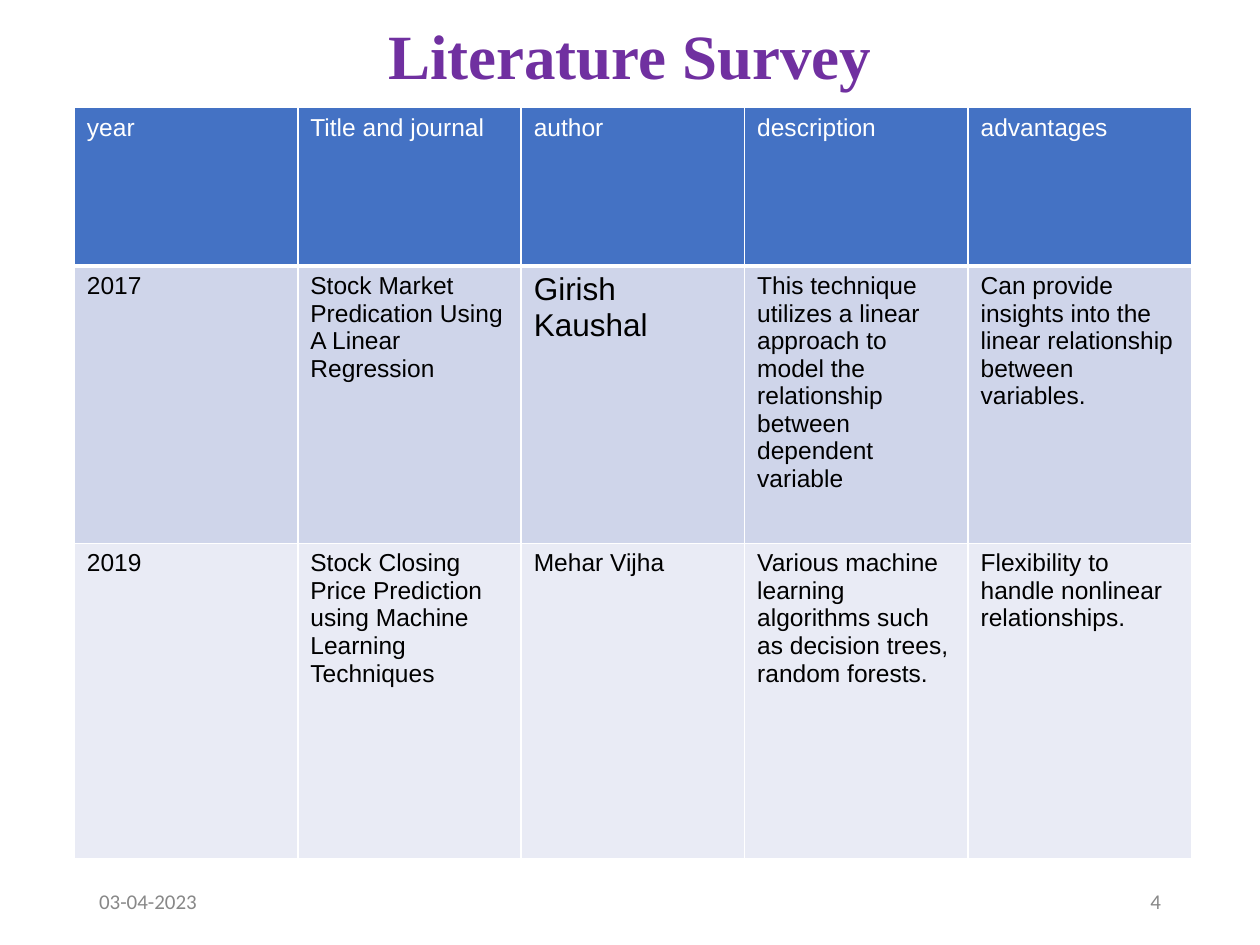
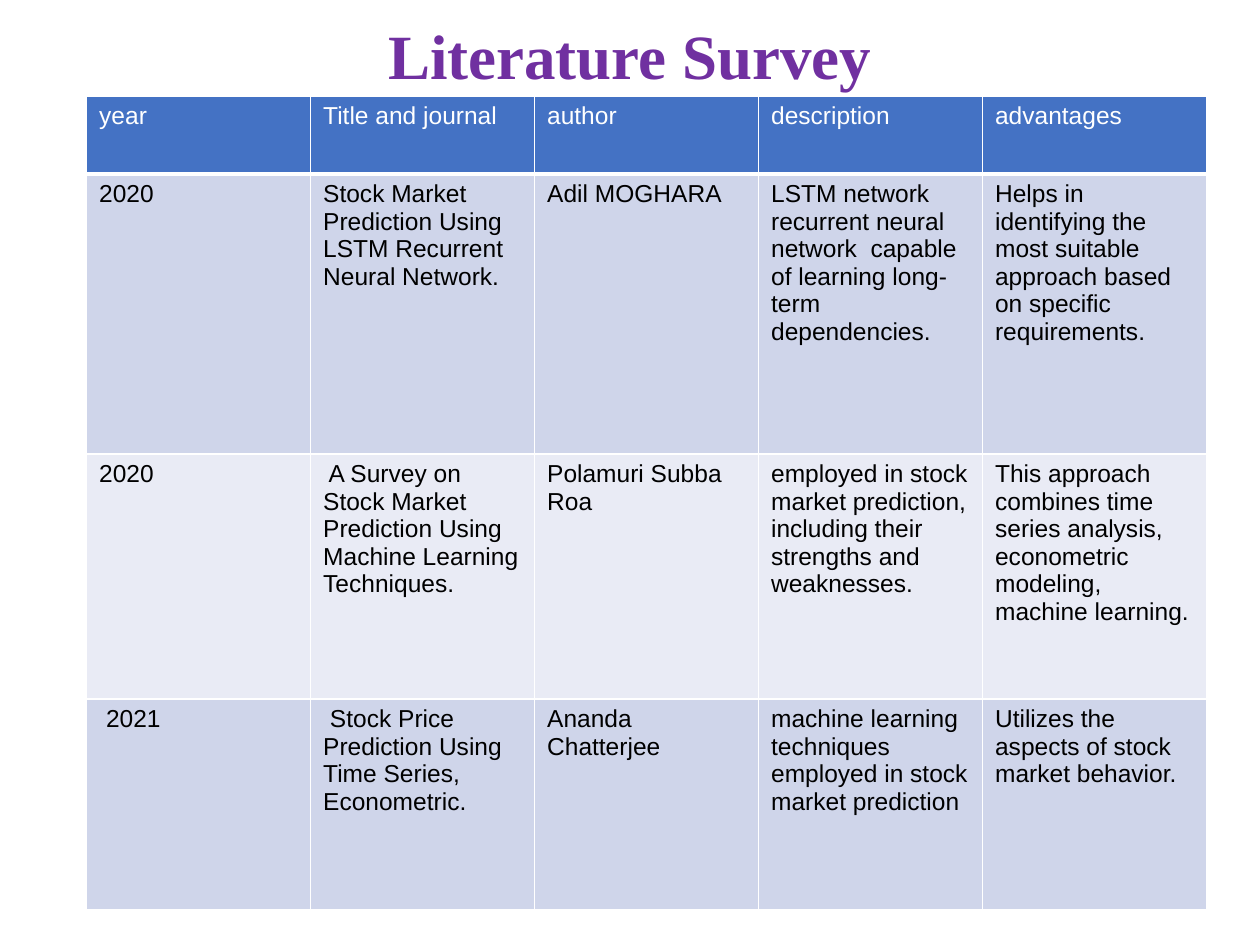
from lxml.etree import SubElement
from pptx import Presentation
from pptx.dml.color import RGBColor as Rgb
from pptx.enum.text import MSO_ANCHOR as Anchor, MSO_AUTO_SIZE as AutoSize, PP_ALIGN as Align
from pptx.oxml.ns import qn
from pptx.util import Pt

COLORS = {
    "title": "7030A0",
    "footer": "888888",
    "header": "4472C4",
    "band": "CFD5EA",
    "pale": "E9EBF5",
    "white": "FFFFFF",
    "black": "000000",
}
FORMATS = {
    "title": {"name": "Times New Roman", "size": Pt(36), "bold": True},
    "footer": {"name": "Calibri", "size": Pt(12), "bold": False},
    "cell": {"name": "Arial", "size": Pt(14), "bold": False},
    "large": {"name": "Arial", "size": Pt(18), "bold": False},
}
MARGIN = 49.5
CONTENT_WIDTH = 621
FOOTER_WIDTH = 162
HEADINGS = ["year", "Title and journal", "author", "description", "advantages"]

EARLY_STUDIES = [
    ["2017", "Stock Market Predication Using A Linear Regression", "Girish Kaushal",
     "This technique utilizes a linear approach to model the relationship between dependent variable",
     "Can provide insights into the linear relationship between variables."],
    ["2019", "Stock Closing Price Prediction using Machine Learning Techniques", "Mehar Vijha",
     "Various machine learning algorithms such as decision trees, random forests.",
     "Flexibility to handle nonlinear relationships."],
]
RECENT_STUDIES = [
    ["2020", "Stock Market Prediction Using LSTM Recurrent Neural Network.", "Adil MOGHARA",
     "LSTM network recurrent neural network  capable of learning long-term dependencies.",
     "Helps in identifying the most suitable approach based on specific requirements."],
    ["2020", " A Survey on Stock Market Prediction Using Machine Learning Techniques.",
     "Polamuri Subba Roa",
     "employed in stock market prediction, including their strengths and weaknesses.",
     "This approach combines time series analysis, econometric modeling, machine learning."],
    [" 2021", " Stock Price Prediction Using Time Series, Econometric.", "Ananda Chatterjee",
     "machine learning techniques employed in stock market prediction",
     "Utilizes the aspects of stock market behavior."],
]


class SurveyDeck:
    def __init__(self):
        self.deck = Presentation()
        self.deck.slide_width, self.deck.slide_height = Pt(720), Pt(540)
        self.slide = None

    def add_text(self, frame, text, style, color, align=Align.LEFT):
        paragraph = frame.paragraphs[0]
        paragraph.alignment = align
        run = paragraph.add_run()
        run.text = text
        for attribute, value in FORMATS[style].items():
            setattr(run.font, attribute, value)
        run.font.color.rgb = Rgb.from_string(COLORS[color])
        return paragraph

    def add_slide(self, heading):
        self.slide = self.deck.slides.add_slide(self.deck.slide_layouts[5])
        title = self.slide.shapes.title
        title.left, title.top = Pt(MARGIN), Pt(13)
        title.width, title.height = Pt(CONTENT_WIDTH), Pt(42)
        frame = title.text_frame
        frame.auto_size = AutoSize.NONE
        frame.vertical_anchor = Anchor.MIDDLE
        self.add_text(frame, heading, "title", "title", Align.CENTER).line_spacing = 0.9

    def add_footer(self, date, number):
        right = MARGIN + CONTENT_WIDTH - FOOTER_WIDTH
        for text, left, align in ((date, MARGIN, Align.LEFT), (number, right, Align.RIGHT)):
            box = self.slide.shapes.add_textbox(Pt(left), Pt(500.5), Pt(FOOTER_WIDTH), Pt(28.75))
            box.text_frame.word_wrap = True
            box.text_frame.vertical_anchor = Anchor.MIDDLE
            self.add_text(box.text_frame, text, "footer", "footer", align)

    def set_borders(self, cell, top, bottom):
        properties = cell._tc.get_or_add_tcPr()
        for side, width in (("L", 1), ("R", 1), ("T", top), ("B", bottom)):
            line = SubElement(properties, qn(f"a:ln{side}"), w=str(Pt(width)))
            fill = SubElement(line, qn("a:solidFill"))
            SubElement(fill, qn("a:srgbClr"), val=COLORS["white"])

    def add_survey(self, studies, left, top, width, heights, large_authors=()):
        rows = [HEADINGS, *studies]
        survey = self.slide.shapes.add_table(
            len(rows), len(HEADINGS), Pt(left), Pt(top), Pt(width), Pt(sum(heights))).table
        for column in survey.columns:
            column.width = Pt(width / len(HEADINGS))
        for index, (entries, height) in enumerate(zip(rows, heights)):
            survey.rows[index].height = Pt(height)
            fill = "header" if index == 0 else "band" if index % 2 else "pale"
            for position, entry in enumerate(entries):
                cell = survey.cell(index, position)
                self.set_borders(cell, 3 if index == 1 else 1, 3 if index == 0 else 1)
                cell.fill.solid()
                cell.fill.fore_color.rgb = Rgb.from_string(COLORS[fill])
                self.add_text(cell.text_frame, entry,
                              "large" if entry in large_authors else "cell",
                              "white" if index == 0 else "black")


def main():
    survey = SurveyDeck()
    survey.add_slide("Literature Survey")
    survey.add_footer("03-04-2023", "4")
    survey.add_survey(EARLY_STUDIES, 42.5, 61.5, 638.5, [90.5, 158.5, 180], ["Girish Kaushal"])

    survey.add_slide("Literature Survey")
    survey.add_survey(RECENT_STUDIES, MARGIN, 55, 640, [44.5, 160, 140, 120.5])
    survey.deck.save("out.pptx")


if __name__ == "__main__":
    main()
